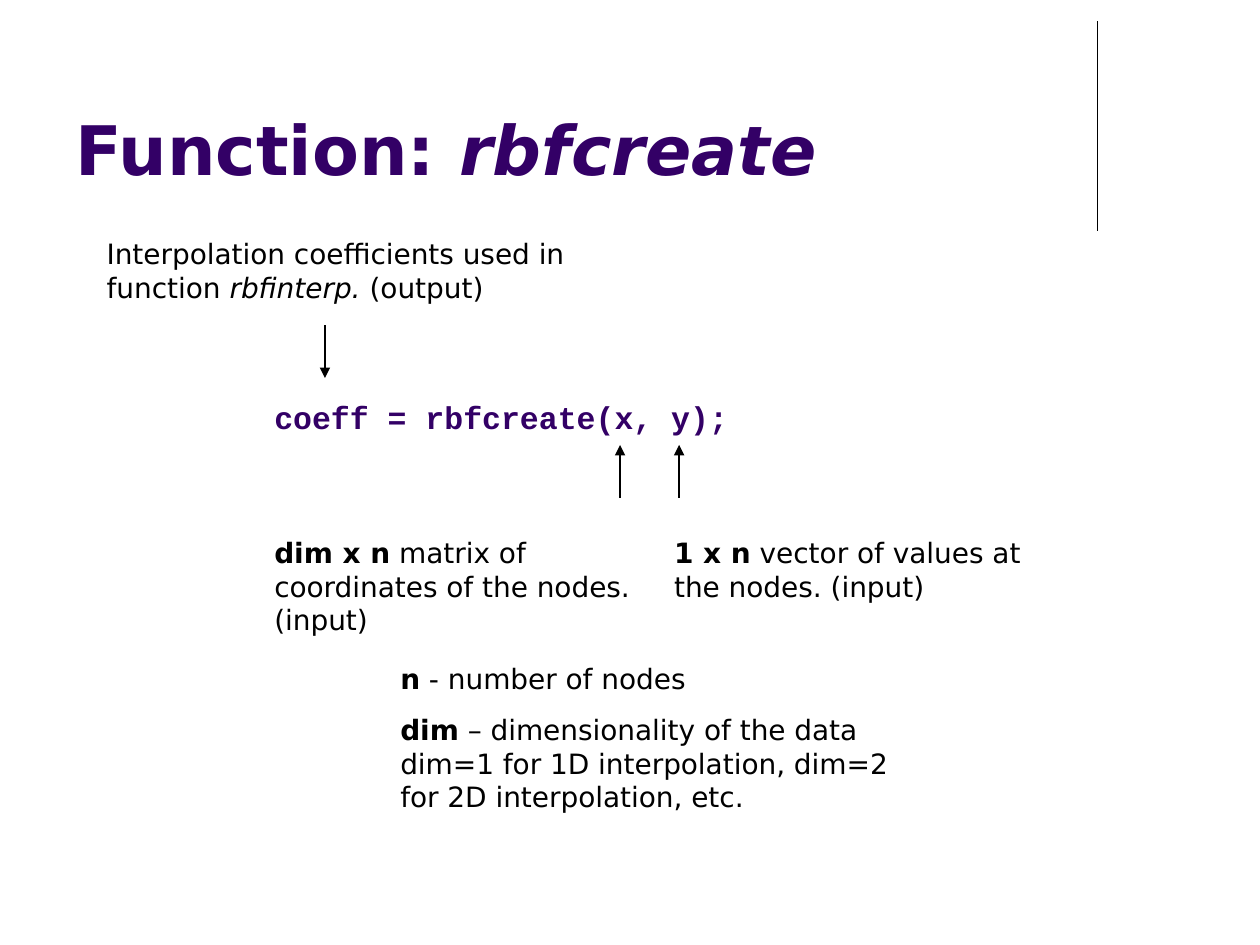
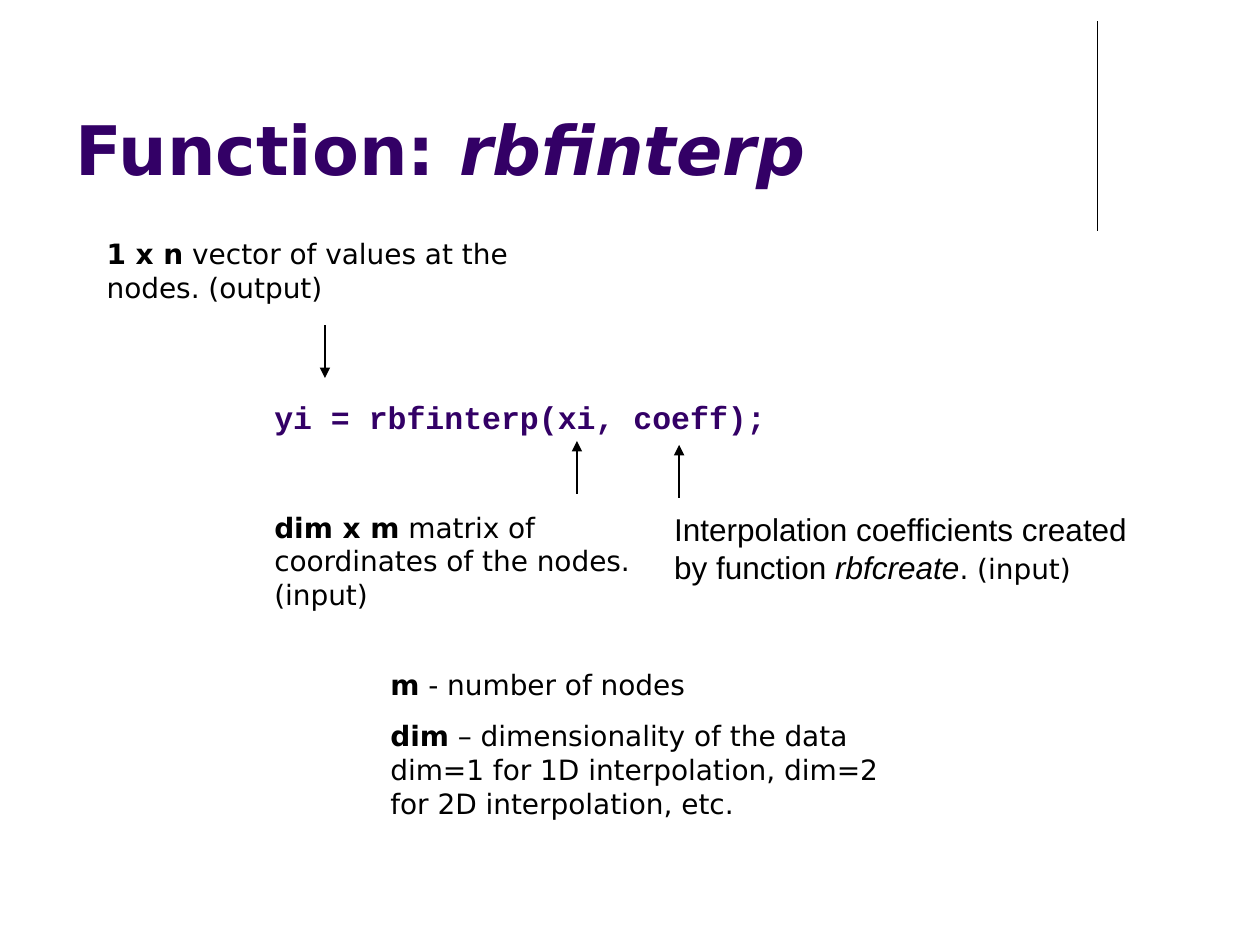
from lxml import etree
from pptx import Presentation
from pptx.dml.color import RGBColor
from pptx.enum import shapes, text
from pptx.oxml import ns
from pptx.util import Cm, Pt

# Shared look
COLORS = {"accent": "330066", "ink": "000000"}
BODY = {"name": "DejaVu Sans", "size": Pt(16), "bold": False, "italic": False}
FORMATS = {
    "plain": BODY,
    "bold": {**BODY, "bold": True},
    "italic": {**BODY, "italic": True},
    "arial": {**BODY, "name": "Arial", "size": Pt(18)},
    "arial italic": {**BODY, "name": "Arial", "size": Pt(18), "italic": True},
    "title": {**BODY, "size": Pt(39), "bold": True},
    "title italic": {**BODY, "size": Pt(39), "bold": True, "italic": True},
    "code": {**BODY, "name": "Courier New", "size": Pt(18), "bold": True},
}
ARROW = 1.06  # arrow length in cm

# Wording shared by the slides
MATRIX = " matrix of coordinates of the nodes. (input)"
DIMENSION = [("dim", "bold"),
             (" – dimensionality of the data \ndim=1 for 1D interpolation, "
              "dim=2 for 2D interpolation, etc.", "plain")]

# Notes: (left, top, width, height in cm, paragraphs of (text, format) runs)
# Input arrows: (x, y of the tail in cm)
SLIDES = [
    {
        "function": "rbfcreate",
        "code": "coeff = rbfcreate(x, y);",
        "code_width": 9.65,
        "inputs": [(12.5, 10.03), (13.69, 10.03)],
        "notes": [
            (1.9, 4.65, 10.36, 1.63, [[
                ("Interpolation coefficients used in function ", "plain"),
                ("rbfinterp. ", "italic"), ("(output)", "plain")]]),
            (5.28, 10.67, 7.82, 2.29, [[("dim x n", "bold"), (MATRIX, "plain")]]),
            (13.34, 10.67, 7.82, 1.63, [[
                ("1 x n", "bold"),
                (" vector of values at the nodes. (input)", "plain")]]),
            (7.82, 13.21, 10.36, 3.33, [
                [("n", "bold"), (" - number of nodes", "plain")], DIMENSION]),
        ],
    },
    {
        "function": "rbfinterp",
        "code": "yi = rbfinterp(xi, coeff);",
        "code_width": 10.41,
        "inputs": [(11.63, 9.95), (13.69, 10.03)],
        "notes": [
            (1.9, 4.65, 10.36, 1.63, [[
                ("1 x n", "bold"),
                (" vector of values at the nodes. (output)", "plain")]]),
            (5.28, 10.16, 7.82, 2.29, [[("dim x m", "bold"), (MATRIX, "plain")]]),
            (13.34, 10.16, 10.16, 1.78, [[
                ("Interpolation coefficients created by function ", "arial"),
                ("rbfcreate", "arial italic"), (". (input)", "plain")]]),
            (7.62, 13.34, 10.36, 3.33, [
                [("m", "bold"), (" - number of nodes", "plain")], DIMENSION]),
        ],
    },
]


def write(tf, paragraphs, color, space=0):
    """Fill a text frame with left-aligned paragraphs of formatted runs."""
    for i, runs in enumerate(paragraphs):
        p = tf.add_paragraph() if i else tf.paragraphs[0]
        p.alignment = text.PP_ALIGN.LEFT
        p.space_before = Pt(space)
        for words, style in runs:
            for j, line in enumerate(words.split("\n")):
                if j:
                    p.add_line_break()
                r = p.add_run()
                r.text = line
                r.font.color.rgb = RGBColor.from_string(COLORS[color])
                for key, value in FORMATS[style].items():
                    setattr(r.font, key, value)


def draw_line(s, x, y1, y2, arrow=True):
    """Draw a thin vertical line, with an arrowhead at its end if wanted."""
    c = s.shapes.add_connector(shapes.MSO_CONNECTOR.STRAIGHT,
                               Cm(x), Cm(y1), Cm(x), Cm(y2))
    c.line.color.rgb = RGBColor.from_string(COLORS["ink"])
    c.line.width = Pt(0.74)
    if arrow:
        etree.SubElement(c.line._get_or_add_ln(), ns.qn("a:tailEnd"), type="triangle")
    etree.SubElement(c._element.spPr, ns.qn("a:effectLst"))


prs = Presentation()
prs.slide_width, prs.slide_height = Cm(25.4), Cm(19.05)

for content in SLIDES:
    s = prs.slides.add_slide(prs.slide_layouts[5])

    # Rule at the top right
    draw_line(s, 22.12, 0.43, 4.65, arrow=False)

    # Title
    sp = s.shapes.title
    sp.left, sp.top, sp.width, sp.height = Cm(1.27), Cm(0.33), Cm(20.96), Cm(3.61)
    tf = sp.text_frame
    tf.vertical_anchor = text.MSO_ANCHOR.BOTTOM
    tf.auto_size = text.MSO_AUTO_SIZE.NONE
    write(tf, [[("Function: ", "title"), (content["function"], "title italic")]],
          "accent")

    # Line of code
    sp = s.shapes.add_textbox(Cm(5.28), Cm(7.9), Cm(content["code_width"]), Cm(1.02))
    tf = sp.text_frame
    tf.word_wrap = False
    tf.auto_size = text.MSO_AUTO_SIZE.SHAPE_TO_FIT_TEXT
    write(tf, [[(content["code"], "code")]], "accent")

    # Output arrow, then input arrows
    draw_line(s, 6.55, 6.56, 6.56 + ARROW)
    for x, y in content["inputs"]:
        draw_line(s, x, y, y - ARROW)

    # Notes on output, inputs and symbols
    for left, top, width, height, paragraphs in content["notes"]:
        sp = s.shapes.add_textbox(Cm(left), Cm(top), Cm(width), Cm(height))
        tf = sp.text_frame
        tf.word_wrap = True
        tf.auto_size = text.MSO_AUTO_SIZE.SHAPE_TO_FIT_TEXT
        write(tf, paragraphs, "ink", space=10)

prs.save("out.pptx")
